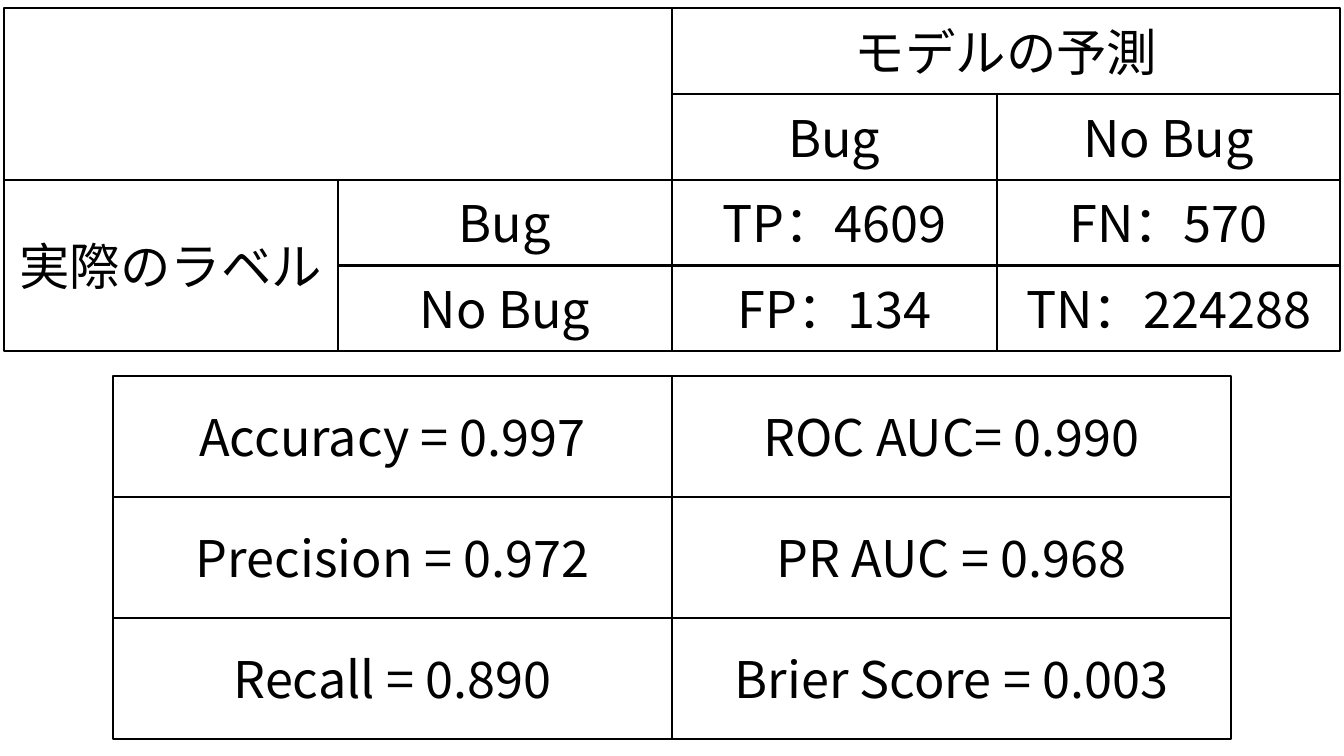
from lxml import etree
from pptx import Presentation
from pptx.dml.color import RGBColor
from pptx.enum.shapes import MSO_SHAPE
from pptx.enum.text import MSO_ANCHOR, PP_ALIGN
from pptx.oxml.ns import qn
from pptx.util import Pt


def color(hex_string):
    return RGBColor.from_string(hex_string)


class GridSlide:
    """Draws bordered cells on a slide in one style."""

    font_name = "Noto Sans CJK JP"
    font_size = 36
    ink = "000000"
    paper = "FFFFFF"
    line_width = 1.5

    def __init__(self, slide):
        self.slide = slide

    def cell(self, left, top, right, bottom, text=""):
        shape = self.slide.shapes.add_shape(
            MSO_SHAPE.RECTANGLE, Pt(left), Pt(top), Pt(right - left), Pt(bottom - top))
        shape.shadow.inherit = False
        shape.fill.solid()
        shape.fill.fore_color.rgb = color(self.paper)
        shape.line.color.rgb = color(self.ink)
        shape.line.width = Pt(self.line_width)
        if text:
            self.label(shape.text_frame, text)

    def label(self, text_frame, text):
        text_frame.word_wrap = True
        text_frame.vertical_anchor = MSO_ANCHOR.MIDDLE
        paragraph = text_frame.paragraphs[0]
        paragraph.text = text
        paragraph.alignment = PP_ALIGN.CENTER
        font = paragraph.font
        font.size = Pt(self.font_size)
        font.color.rgb = color(self.ink)
        font.name = self.font_name
        # Japanese characters use the East Asian font slot
        properties = paragraph._p.pPr.find(qn("a:defRPr"))
        east_asian = etree.SubElement(properties, qn("a:ea"))
        east_asian.set("typeface", self.font_name)

    def grid(self, columns, rows, cells):
        """Each cell is (column, row, column span, row span, text)."""
        for column, row, column_span, row_span, text in cells:
            self.cell(columns[column], rows[row],
                      columns[column + column_span], rows[row + row_span], text)


def main():
    presentation = Presentation()
    presentation.slide_width = Pt(960)
    presentation.slide_height = Pt(540)
    blank_layout = presentation.slide_layouts[6]
    grid_slide = GridSlide(presentation.slides.add_slide(blank_layout))

    # Confusion matrix
    matrix_columns = [2.6, 241.3, 480, 712, 957.4]
    matrix_rows = [6 + 61.2 * row for row in range(5)]
    grid_slide.grid(matrix_columns, matrix_rows, [
        (2, 2, 1, 1, "TP：4609"),
        (3, 2, 1, 1, "FN：570"),
        (2, 3, 1, 1, "FP：134"),
        (3, 3, 1, 1, "TN：224288"),
        (1, 2, 1, 1, "Bug"),
        (1, 3, 1, 1, "No Bug"),
        (0, 2, 1, 2, "実際のラベル"),
        (2, 1, 1, 1, "Bug"),
        (3, 1, 1, 1, "No Bug"),
        (2, 0, 2, 1, "モデルの予測"),
        (0, 0, 2, 2, ""),
    ])

    # Evaluation metrics
    metric_columns = [80.8 + 399.2 * column for column in range(3)]
    metric_rows = [268.6 + 86.4 * row for row in range(4)]
    metrics = [
        ["Accuracy = 0.997", "Precision = 0.972", "Recall = 0.890"],
        ["ROC AUC= 0.990", "PR AUC = 0.968", "Brier Score = 0.003"],
    ]
    grid_slide.grid(metric_columns, metric_rows, [
        (column, row, 1, 1, text)
        for column, texts in enumerate(metrics)
        for row, text in enumerate(texts)
    ])

    presentation.save("out.pptx")


if __name__ == "__main__":
    main()
